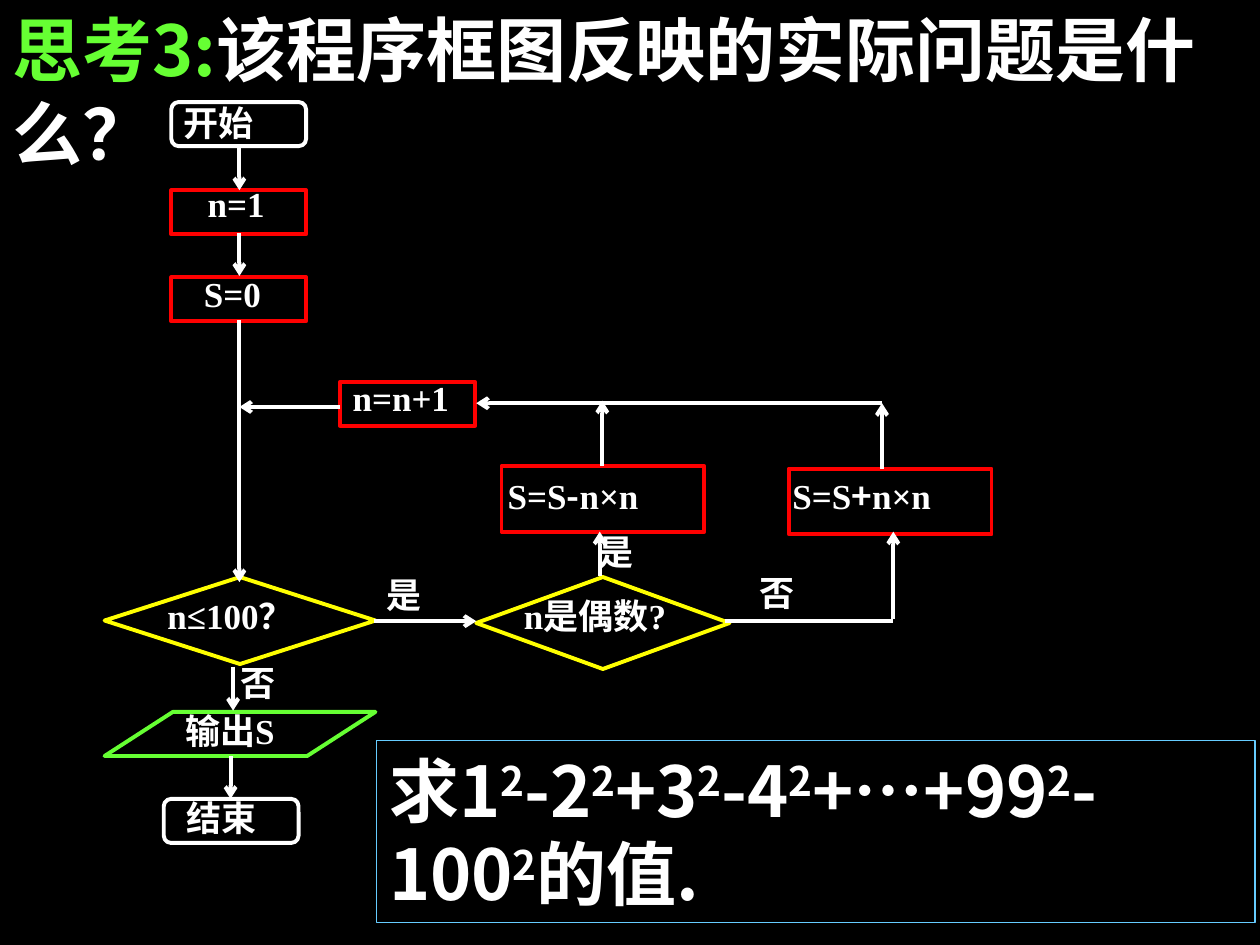
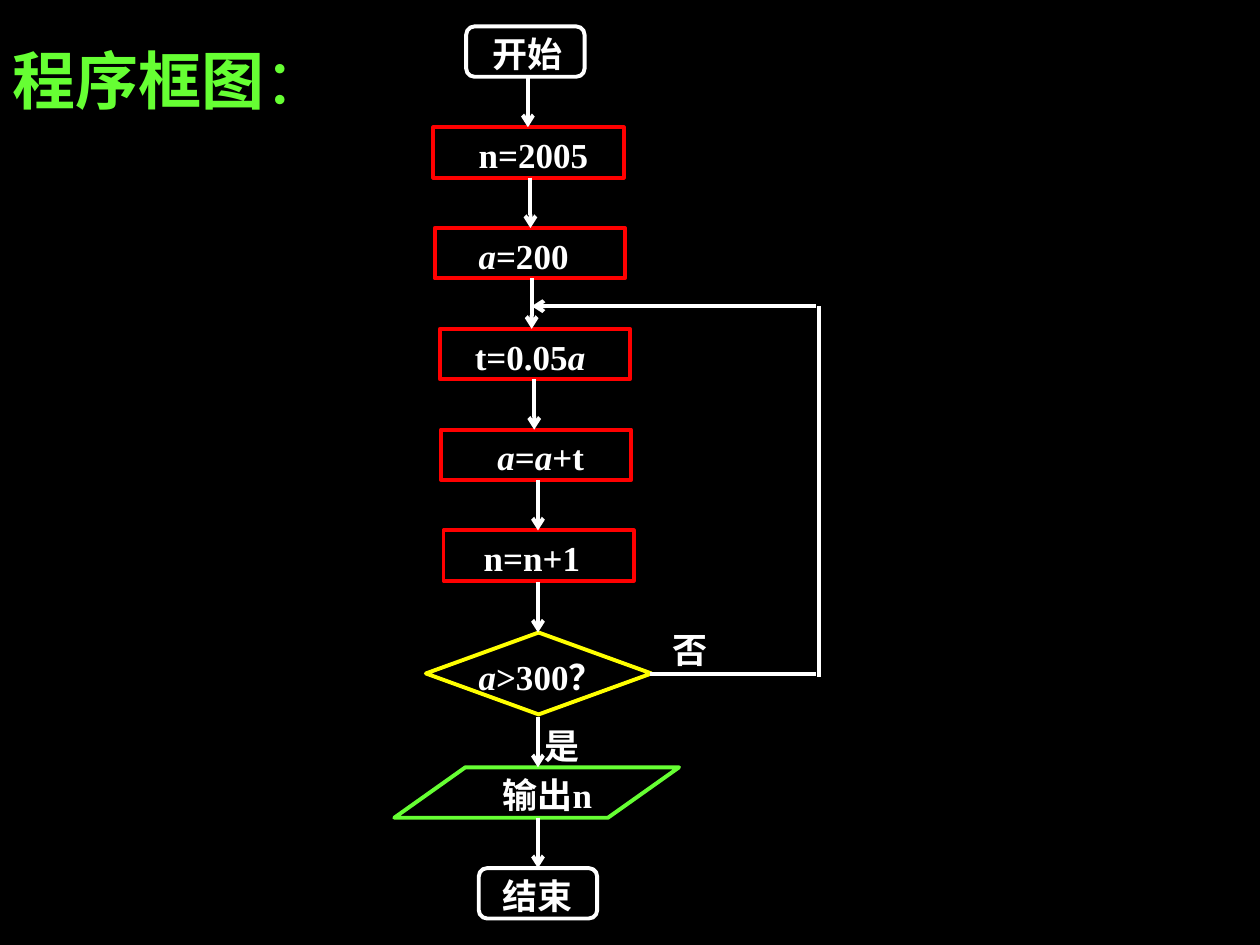
from lxml import etree
from pptx import Presentation
from pptx import util as u
from pptx.dml.color import RGBColor
from pptx.enum import shapes, text
from pptx.oxml.ns import qn

PX = u.Inches(1) // 100
COLORS = {
    "back": "000000",
    "ink": "FFFFFF",
    "title": "66FF33",
    "terminal": "FFFFFF",
    "step": "FF0000",
    "test": "FFFF00",
    "output": "66FF33",
    "answer": "66CCFF",
}
PRESETS = {
    "terminal": shapes.MSO_SHAPE.ROUNDED_RECTANGLE,
    "step": shapes.MSO_SHAPE.RECTANGLE,
    "test": shapes.MSO_SHAPE.DIAMOND,
    "output": shapes.MSO_SHAPE.PARALLELOGRAM,
    "answer": shapes.MSO_SHAPE.RECTANGLE,
}
SERIF = "Times New Roman"
SANS = "Noto Sans CJK SC"


class Deck:
    def __init__(self):
        self.prs = Presentation()
        self.prs.slide_width = 1000 * PX
        self.prs.slide_height = 750 * PX
        self.s = None

    def color(self, name):
        return RGBColor.from_string(COLORS[name])

    def slide(self):
        self.s = self.prs.slides.add_slide(self.prs.slide_layouts[5])
        fill = self.s.background.fill
        fill.solid()
        fill.fore_color.rgb = self.color("back")

    def fill_text(self, sp, runs, size, font, align):
        tf = sp.text_frame
        tf.word_wrap = True
        tf.auto_size = text.MSO_AUTO_SIZE.NONE
        tf.vertical_anchor = text.MSO_ANCHOR.TOP
        p = tf.paragraphs[0]
        p.alignment = align
        for run in runs:
            words, style = run if isinstance(run, tuple) else (run, {})
            r = p.add_run()
            r.text = words
            r.font.size = u.Pt(size)
            r.font.bold = style.get("bold", True)
            r.font.italic = style.get("italic", False)
            r.font.color.rgb = self.color(style.get("color", "ink"))
            r.font.name = style.get("font", font)
            rPr = r._r.get_or_add_rPr()
            etree.SubElement(rPr, qn("a:ea"), typeface=SANS)
            if style.get("raised"):
                rPr.set("baseline", "30000")

    def title(self, x, y, w, h, runs, size, font):
        sp = self.s.shapes.title
        sp.left, sp.top, sp.width, sp.height = (v * PX for v in (x, y, w, h))
        self.fill_text(sp, runs, size, font, text.PP_ALIGN.LEFT)

    def label(self, x, y, w, h, *runs):
        sp = self.s.shapes.add_textbox(x * PX, y * PX, w * PX, h * PX)
        self.fill_text(sp, runs, 20, SERIF, text.PP_ALIGN.JUSTIFY)

    def node(self, kind, x, y, w, h, adj=None, weight=2.25):
        sp = self.s.shapes.add_shape(PRESETS[kind], x * PX, y * PX, w * PX, h * PX)
        sp.shadow.inherit = False
        sp.fill.background()
        sp.line.color.rgb = self.color(kind)
        sp.line.width = u.Pt(weight)
        if adj is not None:
            sp.adjustments[0] = adj
        return sp

    def answer(self, x, y, w, h, runs):
        sp = self.node("answer", x, y, w, h, weight=0.75)
        self.fill_text(sp, runs, 40, SANS, text.PP_ALIGN.LEFT)

    def line(self, x1, y1, x2, y2, arrow=True):
        c = self.s.shapes.add_connector(
            shapes.MSO_CONNECTOR.STRAIGHT, x1 * PX, y1 * PX, x2 * PX, y2 * PX)
        c.line.color.rgb = self.color("ink")
        c.line.width = u.Pt(2.25)
        if arrow:
            etree.SubElement(c.line._get_or_add_ln(), qn("a:tailEnd"), type="arrow")
        etree.SubElement(c._element.spPr, qn("a:effectLst"))


def sum_slide(d):
    d.slide()
    d.title(0, 0, 1000, 144,
            [("思考3:", {"color": "title"}), "该程序框图反映的实际问题是什么？"], 40, SANS)

    for kind, x, y in (("terminal", 136, 81), ("terminal", 130, 634),
                       ("step", 136, 151), ("step", 136, 220), ("step", 270, 303)):
        d.node(kind, x, y, 107, 35)
    d.node("test", 83, 458, 215, 69)
    d.node("test", 378, 458, 201, 73)
    d.node("output", 83, 565, 215, 35, 1.55)
    d.node("step", 398, 370, 161, 52)
    d.node("step", 626, 372, 161, 52)

    for x, y, w, *runs in (
        (136, 76, 134, "开始"),
        (123, 467, 144, "n≤100？"),
        (155, 140, 87, "n=1"),
        (152, 211, 88, "S=0"),
        (406, 467, 158, "n是偶数?"),
        (393, 372, 188, "S=S", ("-", {"font": SANS}), "n×n"),
        (619, 372, 188, "S=S", ("+", {"font": SANS}), "n×n"),
        (270, 294, 102, "n=n+1"),
        (137, 558, 118, "输出S"),
        (138, 627, 97, "结束"),
        (297, 450, 107, "是"),
        (465, 416, 119, "是"),
        (593, 449, 65, "否"),
        (181, 520, 58, "否"),
    ):
        d.label(x, y, w, 52, *runs)

    for ends in ((190, 116, 190, 151), (190, 185, 190, 219), (190, 254, 190, 462),
                 (185, 529, 185, 564), (183, 600, 183, 634),
                 (297, 493, 378, 493), (476, 457, 476, 422), (709, 491, 709, 422),
                 (700, 320, 378, 320), (700, 372, 700, 320), (478, 370, 478, 318),
                 (270, 323, 190, 323)):
        d.line(*ends)
    d.line(575, 493, 709, 493, arrow=False)

    runs = []
    for base in ("求1", "-2", "+3", "-4", "+…+99", "-100"):
        runs += [base, ("2", {"raised": True})]
    d.answer(299, 588, 697, 144, runs + ["的值."])


def growth_slide(d):
    d.slide()
    d.title(0, 28, 323, 70, [("程序框图", {"color": "title"}),
                             ("：", {"color": "title", "bold": False})], 36, "Arial")

    a = ("a", {"italic": True})
    top, pitch, h = 21, 80, 40
    d.node("terminal", 370, top, 94, h)
    d.label(381, top, 94, h, "开始")
    steps = (
        (344, 419, 370, 132, ["n=2005"]),
        (345, 421, 370, 113, [a, "=200"]),
        (349, 422, 367, 132, ["t=0.05", a]),
        (350, 424, 385, 94, [a, "=", a, "+t"]),
        (352, 427, 374, 118, ["n=n+1"]),
    )
    for i, (x, arrow_x, text_x, text_w, runs) in enumerate(steps, 1):
        y = top + i * pitch
        d.node("step", x, y, 151, h)
        d.line(arrow_x, y - h, arrow_x, y)
        d.label(text_x, y, text_w, h, *runs)

    d.node("test", 338, 502, 179, 65)
    d.label(370, 515, 130, h, a, ">300？")
    d.node("output", 313, 609, 226, h, 1.41)
    d.label(389, 609, 94, h, "输出n")
    d.node("terminal", 380, 689, 94, h)
    d.label(389, 689, 94, h, "结束")
    for y in (502, 609, 689):
        d.line(427, y - h, 427, y)
    d.label(422, 570, 75, h, "是")
    d.label(524, 494, 75, h, "否")

    d.line(516, 535, 648, 535, arrow=False)
    d.line(650, 537, 650, 243, arrow=False)
    d.line(648, 243, 422, 243)


def main():
    d = Deck()
    sum_slide(d)
    growth_slide(d)
    d.prs.save("out.pptx")


if __name__ == "__main__":
    main()
